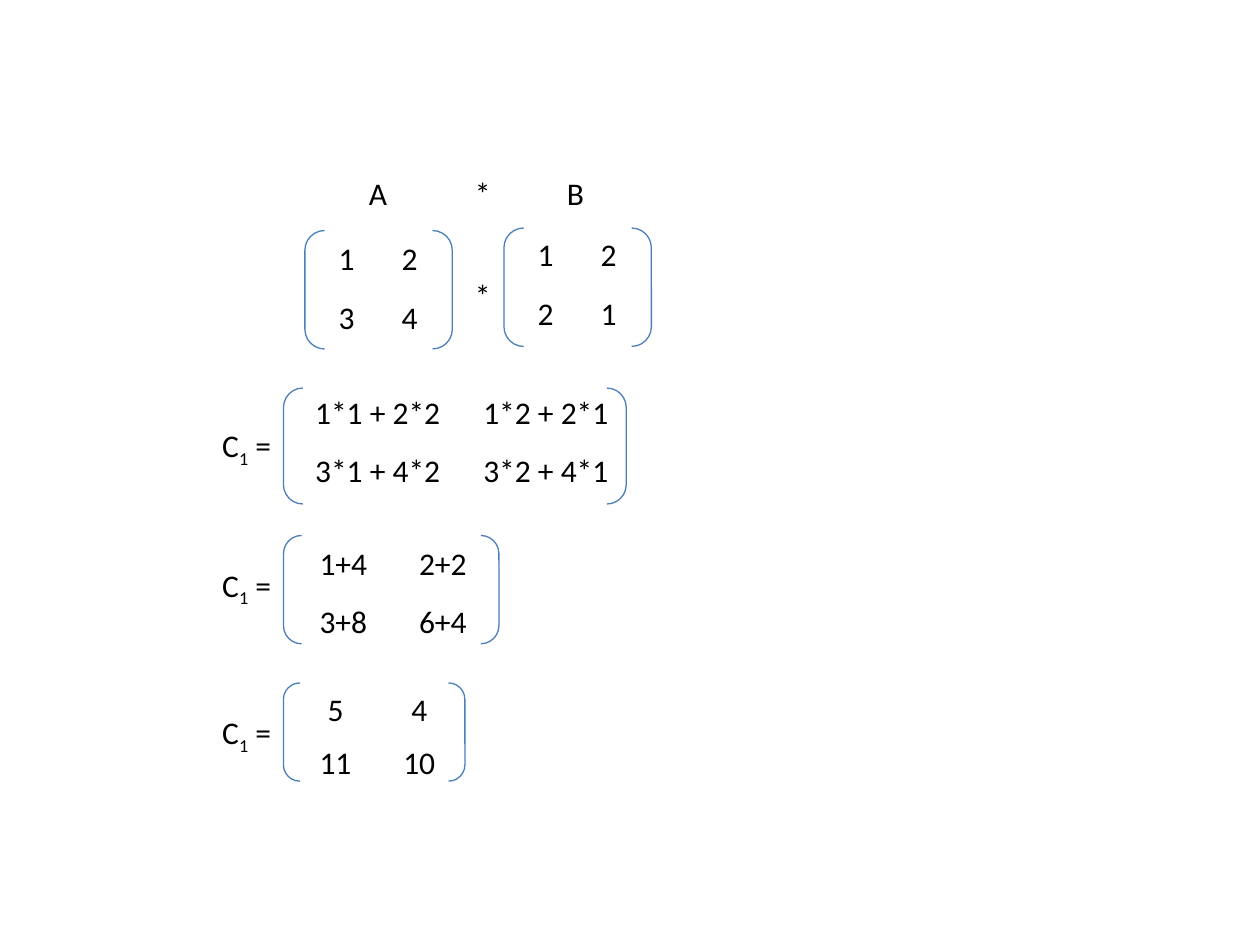
import pptx
import pptx.util
import pptx.dml.color
import pptx.enum.shapes
import pptx.enum.text
import pptx.oxml.ns
import lxml.etree

Inches = pptx.util.Inches
Align = pptx.enum.text.PP_ALIGN
COLORS = {"ink": "000000", "line": "4B7EBC"}
FORMAT = {"name": "Calibri", "size": pptx.util.Pt(18), "bold": False}


def color(key):
    return pptx.dml.color.RGBColor.from_string(COLORS[key])


class Board:
    def __init__(self, slide):
        self.slide = slide

    def put(self, para, text, align, base=0):
        para.alignment = align
        run = para.add_run()
        run.text = text
        for key, value in FORMAT.items():
            setattr(run.font, key, value)
        run.font.color.rgb = color("ink")
        if base:
            run._r.get_or_add_rPr().set("baseline", str(base))

    def text(self, spot, parts, align, tabs=()):
        box = self.slide.shapes.add_textbox(*map(Inches, spot))
        frame = box.text_frame
        frame.word_wrap = True
        frame.auto_size = pptx.enum.text.MSO_AUTO_SIZE.SHAPE_TO_FIT_TEXT
        para = frame.paragraphs[0]
        if tabs:
            name = pptx.oxml.ns.qn
            stops = lxml.etree.SubElement(para._p.get_or_add_pPr(), name("a:tabLst"))
            for tab in tabs:
                lxml.etree.SubElement(stops, name("a:tab"), pos=str(Inches(tab)), algn="l")
        for text, base in parts:
            self.put(para, text, align, base)

    def label(self, left, top):
        parts = [("C", 0), ("1", -25000), (" =", 0)]
        self.text((left, top, 2.25 - left, 0.4), parts, Align.RIGHT)

    def table(self, spot, rows):
        count = len(rows), len(rows[0])
        grid = self.slide.shapes.add_table(*count, *map(Inches, spot)).table
        for flag in ("first_row", "horz_banding"):
            setattr(grid, flag, False)
        for r, row in enumerate(rows):
            for c, text in enumerate(row):
                cell = grid.cell(r, c)
                cell.fill.background()
                self.put(cell.text_frame.paragraphs[0], text, Align.CENTER)

    def bracket(self, spot):
        kind = pptx.enum.shapes.MSO_SHAPE.DOUBLE_BRACKET
        shape = self.slide.shapes.add_shape(kind, *map(Inches, spot))
        shape.shadow.inherit = False
        shape.fill.background()
        shape.line.color.rgb = color("line")
        shape.line.width = pptx.util.Pt(0.75)

    def matrix(self, grid, frame, rows):
        self.table(grid, rows)
        self.bracket(frame)


def main():
    deck = pptx.Presentation()
    deck.slide_width, deck.slide_height = Inches(10), Inches(7.5)
    board = Board(deck.slides.add_slide(deck.slide_layouts[6]))

    board.text((2.83, 1.33, 2.33, 0.42), [("A\t*\tB", 0)], Align.LEFT, (0.84, 1.57))
    board.text((3.67, 2.14, 0.25, 0.4), [("*", 0)], Align.CENTER)
    for left, top in ((1.58, 3.33), (1.58, 4.44), (1.5, 5.61)):
        board.label(left, top)

    for grid, frame, rows in (
        ((2.5, 1.86, 1, 0.93), (2.42, 1.83, 1.17, 0.94), (("1", "2"), ("3", "4"))),
        ((4.08, 1.83, 1, 0.93), (4, 1.81, 1.17, 0.94), (("1", "2"), ("2", "1"))),
        ((2.33, 3.08, 2.67, 0.93), (2.25, 3.08, 2.72, 0.92),
         (("1*1 + 2*2", "1*2 + 2*1"), ("3*1 + 4*2", "3*2 + 4*1"))),
        ((2.33, 4.28, 1.58, 0.92), (2.25, 4.25, 1.71, 0.86),
         (("1+4", "2+2"), ("3+8", "6+4"))),
        ((2.33, 5.44, 1.33, 0.83), (2.25, 5.42, 1.44, 0.78),
         (("5", "4"), ("11", "10"))),
    ):
        board.matrix(grid, frame, rows)

    deck.save("out.pptx")


if __name__ == "__main__":
    main()
